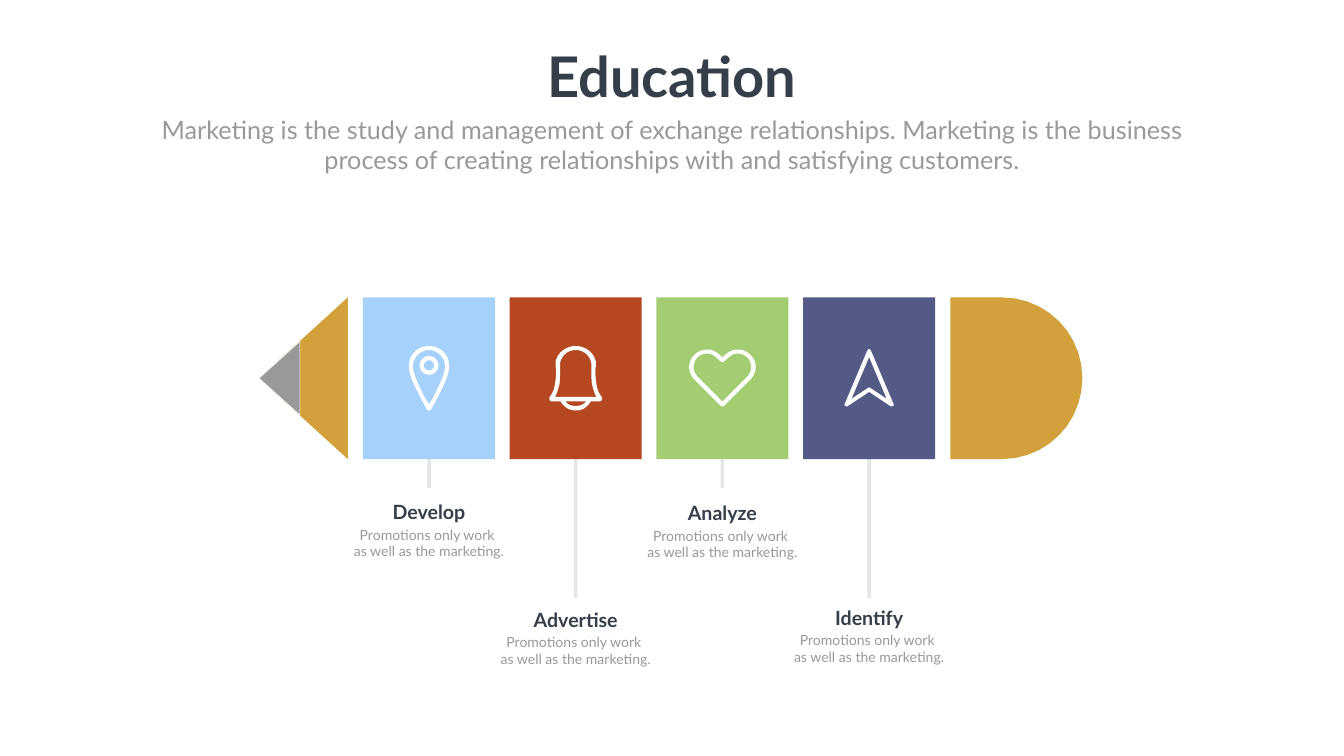
from lxml.etree import SubElement
from pptx import Presentation
from pptx.dml.color import RGBColor
from pptx.enum.shapes import MSO_CONNECTOR, MSO_SHAPE
from pptx.enum.text import PP_ALIGN
from pptx.oxml.ns import qn
from pptx.util import Inches, Pt

PAPER, INK, GREY, WOOD = "FEFFFF", "363E49", "989998", "D3A13B"
PENCIL_TOP, PENCIL_HEIGHT = 5.9, 3.21
PENCIL_BOTTOM = PENCIL_TOP + PENCIL_HEIGHT
AXIS = PENCIL_TOP + PENCIL_HEIGHT / 2
FIRST_STEP, STEP_PITCH, STEP_WIDTH = 7.2, 2.91, 2.62
BODY = "Promotions only work \nas well as the marketing."

# Right halves of symmetric icons, in inches from the icon centre:
# two numbers are a corner, six are a Bezier curve.
PIN = [
    [(0, -.64), (.23, -.64, .4, -.47, .4, -.24), (.4, -.13, .35, .04, .22, .28),
     (.13, .47, .04, .62, .04, .62), (.03, .63, .02, .64, 0, .64)],
    [(0, -.56), (.17, -.56, .32, -.41, .32, -.24), (.32, -.17, .29, -.04, .15, .25),
     (.1, .36, .04, .46, 0, .51)],
]
BELL = [
    [(0, -.64), (.19, -.64, .36, -.51, .4, -.33), (.4, -.26), (.39, -.17),
     (.39, -.11, .39, -.01, .41, .1), (.42, .21, .46, .3, .51, .36),
     (.52, .38, .53, .4, .52, .42), (.51, .45, .49, .46, .46, .46), (.3, .46),
     (.28, .5, .24, .54, .19, .58), (.14, .62, .07, .64, 0, .64)],
    [(0, .46), (.2, .46), (.19, .48, .17, .5, .15, .51), (.11, .54, .05, .55, 0, .55)],
    [(0, -.56), (.15, -.56, .28, -.46, .31, -.3), (.31, -.18),
     (.31, -.11, .31, 0, .32, .11), (.35, .22, .37, .3, .41, .37), (0, .37)],
]
HEART = [
    [(0, -.41), (.06, -.47), (.13, -.53, .21, -.57, .3, -.57),
     (.4, -.57, .49, -.53, .55, -.47), (.62, -.4, .66, -.32, .66, -.22),
     (.66, -.13, .62, -.04, .55, .03), (.03, .55), (.02, .55, .01, .56, 0, .56)],
    [(0, -.32), (.01, -.32, .02, -.32, .03, -.33), (.12, -.41),
     (.17, -.46, .24, -.49, .3, -.49), (.38, -.49, .44, -.46, .5, -.41),
     (.54, -.36, .57, -.29, .57, -.22), (.57, -.15, .54, -.09, .5, -.04), (0, .46)],
]
ARROW = [
    [(0, -.58), (.02, -.57), (.04, -.54), (.48, .5), (.49, .53), (.47, .55),
     (.44, .56), (.42, .55), (0, .27)],
    [(0, -.42), (.35, .41), (.02, .19), (0, .18)],
]

# Heading, colour, icon, end of the stem, top of the label
STEPS = [
    ("Develop", "A6D1FA", PIN, 9.68, 9.87),
    ("Advertise", "B54820", BELL, 11.87, 12.01),
    ("Analyze", "A4CD71", HEART, 9.68, 9.89),
    ("Identify", "545985", ARROW, 11.87, 11.97),
]


def rgb(color):
    return RGBColor.from_string(color)


def paint(shape, color, edge=None):
    shape.shadow.inherit = False
    shape.fill.solid()
    shape.fill.fore_color.rgb = rgb(color)
    if edge:
        shape.line.color.rgb = rgb(edge)
        shape.line.width = Pt(0.75)
    else:
        shape.line.fill.background()


def add_preset(slide, kind, left, top, width, height, color):
    shape = slide.shapes.add_shape(
        kind, Inches(left), Inches(top), Inches(width), Inches(height))
    paint(shape, color)
    return shape


def trace(segments, steps=10):
    """Turn corners and Bezier curves into a list of points."""
    points = []
    for segment in segments:
        if len(segment) == 2:
            points.append(segment)
            continue
        controls = [points[-1], segment[:2], segment[2:4], segment[4:]]
        for step in range(1, steps + 1):
            t = step / steps
            weights = ((1 - t) ** 3, 3 * t * (1 - t) ** 2, 3 * t * t * (1 - t), t ** 3)
            points.append(tuple(
                sum(w * c[axis] for w, c in zip(weights, controls)) for axis in (0, 1)))
    return points


def add_outline(slide, contours, color, edge=None):
    contours = [[(Inches(x), Inches(y)) for x, y in contour] for contour in contours]
    builder = slide.shapes.build_freeform(*contours[0][0])
    for index, (start, *rest) in enumerate(contours):
        if index:
            builder.move_to(*start)
        builder.add_line_segments(rest, close=True)
    paint(builder.convert_to_shape(), color, edge)


def add_icon(slide, halves, center):
    contours = []
    for half in halves:
        right = trace(half)
        left = [(-x, y) for x, y in reversed(right) if x]
        contours.append([(center + x, AXIS + y) for x, y in right + left])
    add_outline(slide, contours, PAPER)


def add_text(slide, text, left, top, width, height, *, size, color,
             bold=False, wrap=True):
    box = slide.shapes.add_textbox(
        Inches(left), Inches(top), Inches(width), Inches(height))
    frame = box.text_frame
    frame.word_wrap = wrap
    frame.text = text
    for paragraph in frame.paragraphs:
        paragraph.alignment = PP_ALIGN.CENTER
        font = paragraph.font
        font.name, font.size, font.bold = "Lato", Pt(size), bold
        font.color.rgb = rgb(color)


def add_stem(slide, center, bottom):
    stem = slide.shapes.add_connector(
        MSO_CONNECTOR.STRAIGHT, Inches(center), Inches(AXIS), Inches(center), Inches(bottom))
    stem.line.width = Pt(5)
    stem.line.color.rgb = rgb("808080")
    properties = stem._element.spPr
    SubElement(properties.find(".//" + qn("a:srgbClr")), qn("a:alpha"), val="20000")
    SubElement(properties, qn("a:effectLst"))


def add_pencil_ends(slide):
    tip, graphite, base = 5.14, 5.95, 6.9
    add_outline(slide, [[(tip, AXIS), (base, PENCIL_BOTTOM), (base, PENCIL_TOP)]], WOOD)
    add_outline(slide, [[(tip, AXIS), (graphite, AXIS + .73), (graphite, AXIS - .73)]],
                GREY, PAPER)
    cap, bend, end = 18.85, 19.87, 21.47
    add_outline(slide, [trace([
        (cap, PENCIL_TOP), (bend, PENCIL_TOP),
        (20.76, PENCIL_TOP, end, 6.62, end, AXIS),
        (end, 8.39, 20.76, PENCIL_BOTTOM, bend, PENCIL_BOTTOM),
        (cap, PENCIL_BOTTOM)])], WOOD)


def add_step(slide, left, heading, color, icon, label_top):
    center = left + STEP_WIDTH / 2
    add_preset(slide, MSO_SHAPE.RECTANGLE, left, PENCIL_TOP, STEP_WIDTH, PENCIL_HEIGHT, color)
    add_icon(slide, icon, center)
    if icon is PIN:
        ring = add_preset(slide, MSO_SHAPE.DONUT, center - .19, 7.06, .38, .38, PAPER)
        ring.adjustments[0] = 0.23
    add_text(slide, heading, left, label_top, STEP_WIDTH, .57,
             size=28, color=INK, bold=True)
    add_text(slide, BODY, center - 2.2, label_top + .52, 4.4, .77, size=20, color=GREY)


def main():
    deck = Presentation()
    deck.slide_width, deck.slide_height = Inches(26.66), Inches(15)
    slide = deck.slides.add_slide(deck.slide_layouts[6])
    slide.background.fill.solid()
    slide.background.fill.fore_color.rgb = rgb(PAPER)

    lefts = [FIRST_STEP + index * STEP_PITCH for index in range(len(STEPS))]
    for left, (*_, stem_bottom, _) in zip(lefts, STEPS):
        add_stem(slide, left + STEP_WIDTH / 2, stem_bottom)
    add_pencil_ends(slide)
    for left, (heading, color, icon, _, label_top) in zip(lefts, STEPS):
        add_step(slide, left, heading, color, icon, label_top)

    add_text(slide, "Education", 10.71, .78, 5.24, 1.45,
             size=80, color=INK, bold=True, wrap=False)
    add_text(slide, "Marketing is the study and management of exchange relationships. "
             "Marketing is the business process of creating relationships with and "
             "satisfying customers.", 2.68, 2.22, 21.3, 1.31, size=36, color=GREY)
    deck.save("out.pptx")


if __name__ == "__main__":
    main()
